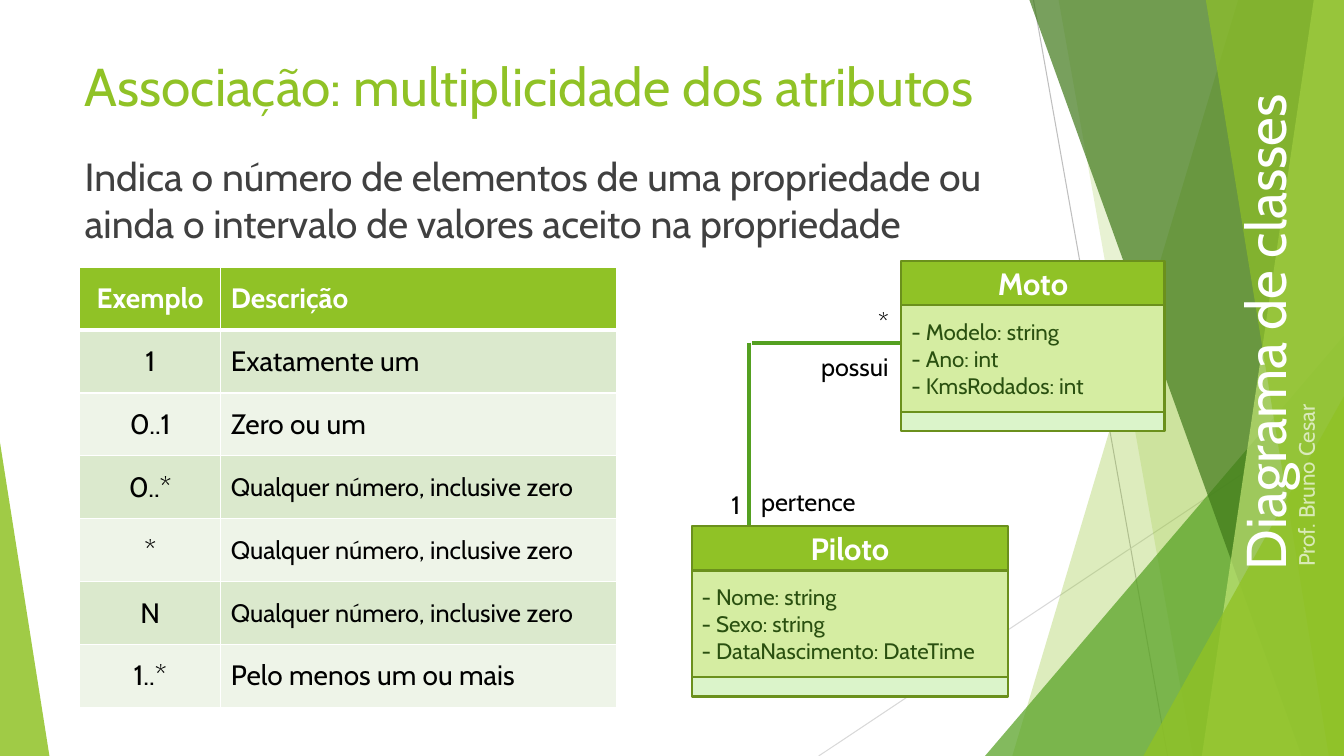
"""Build a slide on attribute multiplicity in class diagram associations."""
from dataclasses import dataclass

from lxml import etree
from pptx import Presentation
from pptx.dml.color import RGBColor
from pptx.enum.shapes import MSO_CONNECTOR, MSO_SHAPE
from pptx.enum.text import MSO_ANCHOR, MSO_AUTO_SIZE, PP_ALIGN
from pptx.oxml.ns import qn
from pptx.util import Inches, Pt

STRAIGHT = MSO_CONNECTOR.STRAIGHT
RECTANGLE, TRIANGLE = MSO_SHAPE.RECTANGLE, MSO_SHAPE.ISOSCELES_TRIANGLE
TOP, MIDDLE = MSO_ANCHOR.TOP, MSO_ANCHOR.MIDDLE
FIXED, GROW = MSO_AUTO_SIZE.NONE, MSO_AUTO_SIZE.SHAPE_TO_FIT_TEXT
LEFT, CENTER, RIGHT = PP_ALIGN.LEFT, PP_ALIGN.CENTER, PP_ALIGN.RIGHT

FONT = "Cabin"
WIDTH, HEIGHT = 13.33, 7.5
COLORS = {
    "white": "FFFFFF", "black": "000000", "body": "404040",
    "green": "90C226", "mid": "54A021", "dark": "3F7819", "lime": "C0E474",
    "gray": "BFBFBF", "pale_gray": "D9D9D9", "outline": "6B901C",
    "attributes": "D5EDA2", "methods": "DBF4CA", "attribute_text": "2A5010",
    "odd_row": "DBE9CD", "even_row": "EEF4E8",
}


@dataclass
class Facet:
    """Translucent panel running from a slanted left side to the right edge."""
    top_x: float
    bottom_x: float
    color: str
    opacity: int


@dataclass
class Corner:
    """Translucent triangle standing on the slide's bottom edge."""
    left: float
    width: float
    height: float
    apex: float
    color: str
    opacity: int


@dataclass
class Stroke:
    """Straight line between two points."""
    start: tuple[float, float]
    end: tuple[float, float]
    color: str
    weight: float


@dataclass
class UmlClass:
    """Class box with name, attribute and method compartments."""
    name: str
    attributes: str
    left: float
    top: float
    width: float


@dataclass
class Label:
    """Free text with its box, size and orientation."""
    text: str
    box: tuple[float, float, float, float]
    size: int = 18
    color: str = "black"
    align: PP_ALIGN = LEFT
    wrap: bool = True
    rotation: int = 0
    opacity: int = 100


DECORATION = [
    Stroke((10.25, 0), (11.58, HEIGHT), "gray", 0.75),
    Stroke((WIDTH, 4.03), (8.12, HEIGHT), "pale_gray", 0.75),
    Facet(12.28, 10.04, "green", 30),
    Facet(10.5, 11.83, "green", 20),
    Corner(9.77, 3.56, 4.17, 1, "mid", 72),
    Facet(10.21, 12.91, "dark", 70),
    Facet(13.03, 11.92, "lime", 70),
    Facet(11.96, 13.18, "green", 65),
    Corner(11.34, 1.99, 3.57, 1, "green", 80),
    Corner(0, 0.49, 3.11, 0, "green", 85),
]
ASSOCIATION = [
    Stroke((7.43, 3.4), (7.43, 5.9), "mid", 3),
    Stroke((7.46, 3.4), (9.95, 3.4), "mid", 3),
]
CLASSES = [
    UmlClass("Moto", "- Modelo: string\n- Ano: int\n- KmsRodados: int", 8.94, 2.59, 2.61),
    UmlClass("Piloto", "- Nome: string\n- Sexo: string\n- DataNascimento: DateTime",
             6.86, 5.22, 3.14),
]
SIDE_LABELS = [
    Label("Diagrama de classes", (9.84, 2.67, 5.4, 0.77), 40, "white", rotation=270),
    Label("Prof. Bruno Cesar", (11.8, 4.3, 2.39, 0.45), 16, "white", rotation=270, opacity=65),
]
ROLE_LABELS = [
    Label("*", (8.61, 2.99, 0.29, 0.4), wrap=False),
    Label("1", (7.1, 4.81, 0.34, 0.4), align=RIGHT, wrap=False),
    Label("pertence", (7.45, 4.78, 1.3, 0.4)),
    Label("possui", (7.61, 3.44, 1.3, 0.4), align=RIGHT),
]
ANY_NUMBER = "Qualquer número, inclusive zero"
MULTIPLICITIES = [
    ("Exemplo", "Descrição"), ("1", "Exatamente um"), ("0..1", "Zero ou um"),
    ("0..*", ANY_NUMBER), ("*", ANY_NUMBER), ("N", ANY_NUMBER),
    ("1..*", "Pelo menos um ou mais"),
]


def rgb(name: str) -> RGBColor:
    """Look up a palette colour."""
    return RGBColor.from_string(COLORS[name])


def write(frame, text: str, size: int, color: str, align=LEFT, bold=False) -> None:
    """Fill a text frame and format its paragraphs and runs."""
    frame.text = text
    for paragraph in frame.paragraphs:
        paragraph.alignment = align
        paragraph.space_before = Pt(0)
        for run in paragraph.runs:
            run.font.name, run.font.size, run.font.bold = FONT, Pt(size), bold
            run.font.color.rgb = rgb(color)


def set_opacity(shape, percent: int) -> None:
    """Make the first colour of a shape translucent."""
    color = next(shape.element.iter(qn("a:srgbClr")))
    etree.SubElement(color, qn("a:alpha"), val=str(percent * 1000))


def draw_stroke(slide, stroke: Stroke) -> None:
    """Draw a straight line without a shadow."""
    line = slide.shapes.add_connector(STRAIGHT, *map(Inches, stroke.start + stroke.end))
    line.line.color.rgb = rgb(stroke.color)
    line.line.width = Pt(stroke.weight)
    etree.SubElement(line.element.spPr, qn("a:effectLst"))


def draw_panel(slide, panel: Facet | Corner) -> None:
    """Draw one translucent background panel."""
    if isinstance(panel, Facet):
        outline = slide.shapes.build_freeform(Inches(panel.top_x), 0)
        corners = [(WIDTH, 0), (WIDTH, HEIGHT), (panel.bottom_x, HEIGHT)]
        outline.add_line_segments([(Inches(x), Inches(y)) for x, y in corners])
        shape = outline.convert_to_shape()
    else:
        shape = slide.shapes.add_shape(
            TRIANGLE, Inches(panel.left), Inches(HEIGHT - panel.height),
            Inches(panel.width), Inches(panel.height))
        shape.adjustments[0] = panel.apex
    shape.shadow.inherit = False
    shape.fill.solid()
    shape.fill.fore_color.rgb = rgb(panel.color)
    shape.line.fill.background()
    set_opacity(shape, panel.opacity)


def draw_class(slide, uml: UmlClass) -> None:
    """Stack the three compartments of a class box."""
    top = uml.top
    compartments = [
        (uml.name, 0.44, "green", 22, "white", CENTER, True),
        (uml.attributes, 1.06, "attributes", 16, "attribute_text", LEFT, False),
        ("", 0.19, "methods", 16, "attribute_text", LEFT, False),
    ]
    for text, height, fill, *style in compartments:
        box = slide.shapes.add_shape(
            RECTANGLE, *map(Inches, (uml.left, top, uml.width, height)))
        box.shadow.inherit = False
        box.fill.solid()
        box.fill.fore_color.rgb = rgb(fill)
        box.line.color.rgb = rgb("outline")
        box.line.width = Pt(1.5)
        box.text_frame.vertical_anchor = MIDDLE
        if text:
            write(box.text_frame, text, *style)
        top += height


def draw_label(slide, label: Label) -> None:
    """Place a text box, turned if needed."""
    box = slide.shapes.add_textbox(*map(Inches, label.box))
    box.rotation = label.rotation
    box.text_frame.word_wrap = label.wrap
    box.text_frame.auto_size = FIXED if label.rotation else GROW
    write(box.text_frame, label.text, label.size, label.color, label.align)
    if label.opacity < 100:
        set_opacity(box, label.opacity)


def draw_table(slide) -> None:
    """Draw the table of multiplicity examples."""
    table = slide.shapes.add_table(
        len(MULTIPLICITIES), 2, *map(Inches, (0.79, 2.65, 5.33, 4.37))).table
    for column, width in zip(table.columns, (1.4, 3.93)):
        column.width = Inches(width)
    for i, row in enumerate(MULTIPLICITIES):
        header = i == 0
        fill = "green" if header else "odd_row" if i % 2 else "even_row"
        for j, text in enumerate(row):
            cell = table.cell(i, j)
            cell.vertical_anchor = MIDDLE
            write(cell.text_frame, text, 18 if text == ANY_NUMBER else 20,
                  "white" if header else "black", LEFT if j else CENTER, header)
            weights = {"L": 1, "R": 1, "T": 3 if i == 1 else 1, "B": 3 if header else 1}
            properties = cell.fill and cell.text_frame._txBody.getparent().get_or_add_tcPr()
            for side, weight in weights.items():
                border = etree.SubElement(properties, qn(f"a:ln{side}"), w=str(Pt(weight)))
                solid = etree.SubElement(border, qn("a:solidFill"))
                etree.SubElement(solid, qn("a:srgbClr"), val=COLORS["white"])
            cell.fill.solid()
            cell.fill.fore_color.rgb = rgb(fill)


def place_text(holder, box: tuple, text: str, size: int, color: str) -> None:
    """Move a placeholder to the front and write plain text in it."""
    holder.left, holder.top, holder.width, holder.height = map(Inches, box)
    frame = holder.text_frame
    frame.word_wrap, frame.auto_size, frame.vertical_anchor = True, FIXED, TOP
    write(frame, text, size, color)
    properties = frame.paragraphs[0]._p.get_or_add_pPr()
    properties.set("marL", "0")
    properties.set("indent", "0")
    etree.SubElement(properties, qn("a:buNone"))
    holder.element.getparent().append(holder.element)


def main() -> None:
    """Assemble and save the slide."""
    deck = Presentation()
    deck.slide_width, deck.slide_height = Inches(WIDTH), Inches(HEIGHT)
    slide = deck.slides.add_slide(deck.slide_layouts[1])
    for part in DECORATION:
        (draw_stroke if isinstance(part, Stroke) else draw_panel)(slide, part)
    place_text(slide.shapes.title, (0.74, 0.48, 10.33, 0.93),
               "Associação: multiplicidade dos atributos", 38, "green")
    place_text(slide.placeholders[1], (0.74, 1.46, 9.74, 5.69),
               "Indica o número de elementos de uma propriedade ou ainda o intervalo "
               "de valores aceito na propriedade", 28, "body")
    for label in SIDE_LABELS:
        draw_label(slide, label)
    draw_table(slide)
    for stroke in ASSOCIATION:
        draw_stroke(slide, stroke)
    for uml in CLASSES:
        draw_class(slide, uml)
    for label in ROLE_LABELS:
        draw_label(slide, label)
    deck.save("out.pptx")


if __name__ == "__main__":
    main()
